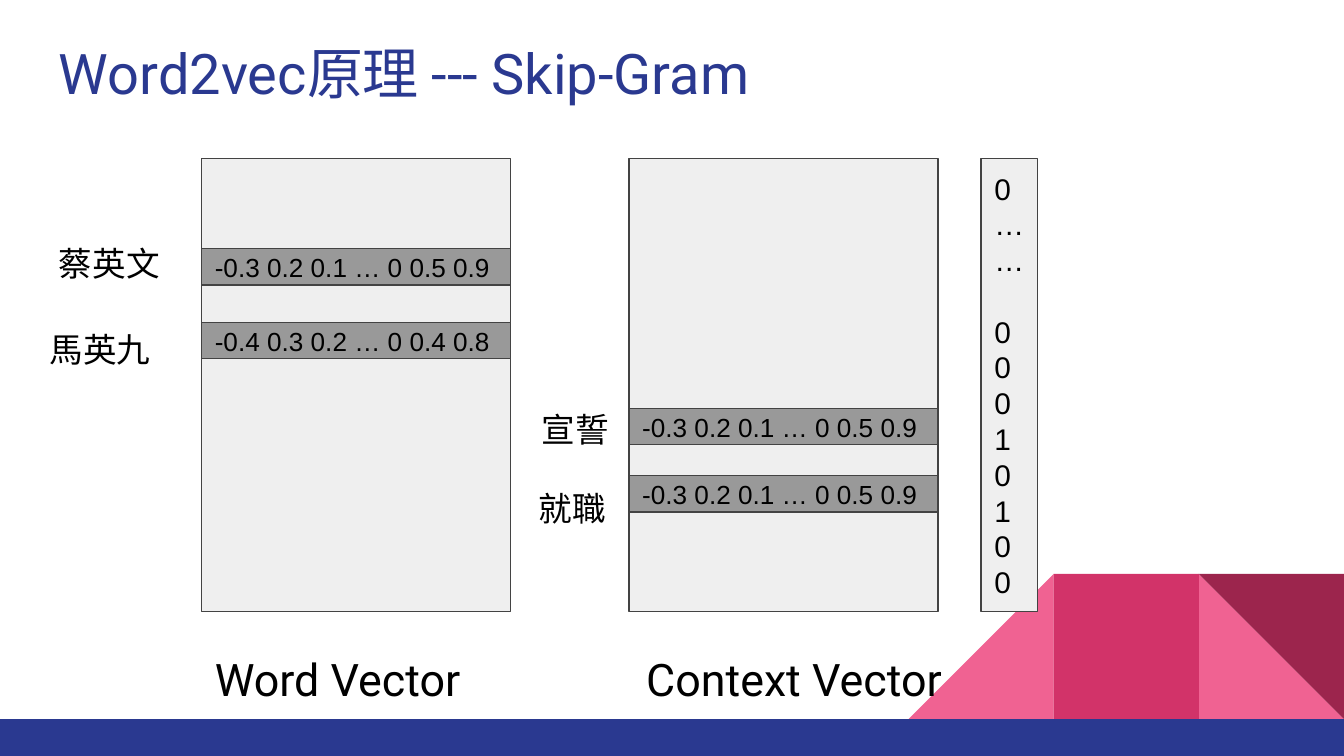
from collections import namedtuple
from dataclasses import dataclass

from pptx import Presentation
from pptx.dml.color import RGBColor
from pptx.enum.shapes import MSO_SHAPE as Preset
from pptx.enum.text import MSO_ANCHOR as Anchor, PP_ALIGN as Align
from pptx.util import Inches, Pt

Box = namedtuple("Box", "left top width height")


@dataclass(frozen=True)
class Theme:
    navy: str = "2A3990"
    pink: str = "F06292"
    rose: str = "D23369"
    wine: str = "9C254D"
    panel: str = "EFEFEF"
    row: str = "999999"
    outline: str = "434343"
    black: str = "000000"
    heading: str = "Roboto"
    body: str = "Arial"
    title_size: int = 30
    caption_size: int = 24
    word_size: int = 18
    digit_size: int = 16
    digit_gap: int = 19
    row_size: int = 14


THEME = Theme()


def write(shape, paragraphs, size, font, color=THEME.black, anchor=Anchor.TOP):
    frame = shape.text_frame
    inset = Inches(0.1)
    settings = {
        "word_wrap": True,
        "vertical_anchor": anchor,
        "margin_left": inset,
        "margin_right": inset,
        "margin_top": inset,
        "margin_bottom": inset,
    }
    for name, value in settings.items():
        setattr(frame, name, value)
    frame.text = "\n".join(paragraphs)
    for para in frame.paragraphs:
        para.alignment = Align.LEFT
        for name, value in {"size": Pt(size), "name": font}.items():
            setattr(para.runs[0].font, name, value)
        para.runs[0].font.color.rgb = RGBColor.from_string(color)


def add_label(page, box, text, size, color=THEME.black):
    label = page.shapes.add_textbox(*map(Inches, box))
    write(label, [text], size, THEME.heading, color)


def add_block(page, box, fill, preset=Preset.RECTANGLE, outline=None, rotation=0):
    block = page.shapes.add_shape(preset, *map(Inches, box))
    block.shadow.inherit = False
    block.rotation = rotation
    block.fill.solid()
    block.fill.fore_color.rgb = RGBColor.from_string(fill)
    if outline:
        block.line.color.rgb = RGBColor.from_string(outline)
        block.line.width = Pt(0.75)
    else:
        block.line.fill.background()
    return block


def draw_footer(page, box):
    side = 1.08
    right = box.left + box.width
    tiles = [
        (1, THEME.pink, Preset.RIGHT_TRIANGLE, 0),
        (3, THEME.pink, Preset.RIGHT_TRIANGLE, 270),
        (2, THEME.rose, Preset.RECTANGLE, 0),
        (1, THEME.wine, Preset.RIGHT_TRIANGLE, 180),
    ]
    for steps, fill, preset, rotation in tiles:
        tile = Box(right - steps * side, box.top - side, side, side)
        add_block(page, tile, fill, preset, rotation=rotation)
    add_block(page, box, THEME.navy)


def draw_matrix(page, box, rows):
    add_block(page, box, THEME.panel, outline=THEME.outline)
    for offset, values in rows:
        row = Box(box.left, box.top + offset, box.width, 0.27)
        bar = add_block(page, row, THEME.row, outline=THEME.outline)
        write(bar, [values], THEME.row_size, THEME.body, anchor=Anchor.MIDDLE)


def draw_words(page, box, words):
    for left, top, text in words:
        label = Box(box.left + left, box.top + top, box.width, box.height)
        add_label(page, label, text, THEME.word_size)


def draw_output(page, box, paragraphs):
    column = add_block(page, box, THEME.panel, outline=THEME.outline)
    write(column, paragraphs, THEME.digit_size, THEME.body, anchor=Anchor.MIDDLE)
    column.text_frame.paragraphs[1].space_before = Pt(THEME.digit_gap)


def main():
    deck = Presentation()
    deck.slide_width = Inches(10)
    deck.slide_height = deck.slide_width * 9 // 16
    page = deck.slides.add_slide(deck.slide_layouts[6])

    draw_footer(page, Box(0, 5.35, 10, 0.28))
    add_label(page, Box(0.34, 0.19, 9.32, 0.66), "Word2vec原理 --- Skip-Gram",
              THEME.title_size, THEME.navy)

    shared = "-0.3 0.2 0.1 … 0 0.5 0.9"
    draw_matrix(page, Box(1.5, 1.18, 2.3, 3.37),
                [(0.67, shared), (1.22, "-0.4 0.3 0.2 … 0 0.4 0.8")])
    draw_matrix(page, Box(4.68, 1.18, 2.3, 3.37), [(1.86, shared), (2.36, shared)])
    draw_words(page, Box(0.27, 1.71, 1.03, 0.46),
               [(0.07, 0, "蔡英文"), (0, 0.64, "馬英九")])
    draw_words(page, Box(3.91, 2.94, 0.78, 0.46),
               [(0.02, 0, "宣誓"), (0, 0.59, "就職")])
    draw_output(page, Box(7.3, 1.18, 0.42, 3.37), ["0……", "0001010", "0"])

    add_label(page, Box(1.5, 4.75, 2.3, 0.56), "Word Vector", THEME.caption_size)
    add_label(page, Box(4.71, 4.75, 2.59, 0.56), "Context Vector", THEME.caption_size)
    deck.save("out.pptx")


if __name__ == "__main__":
    main()
